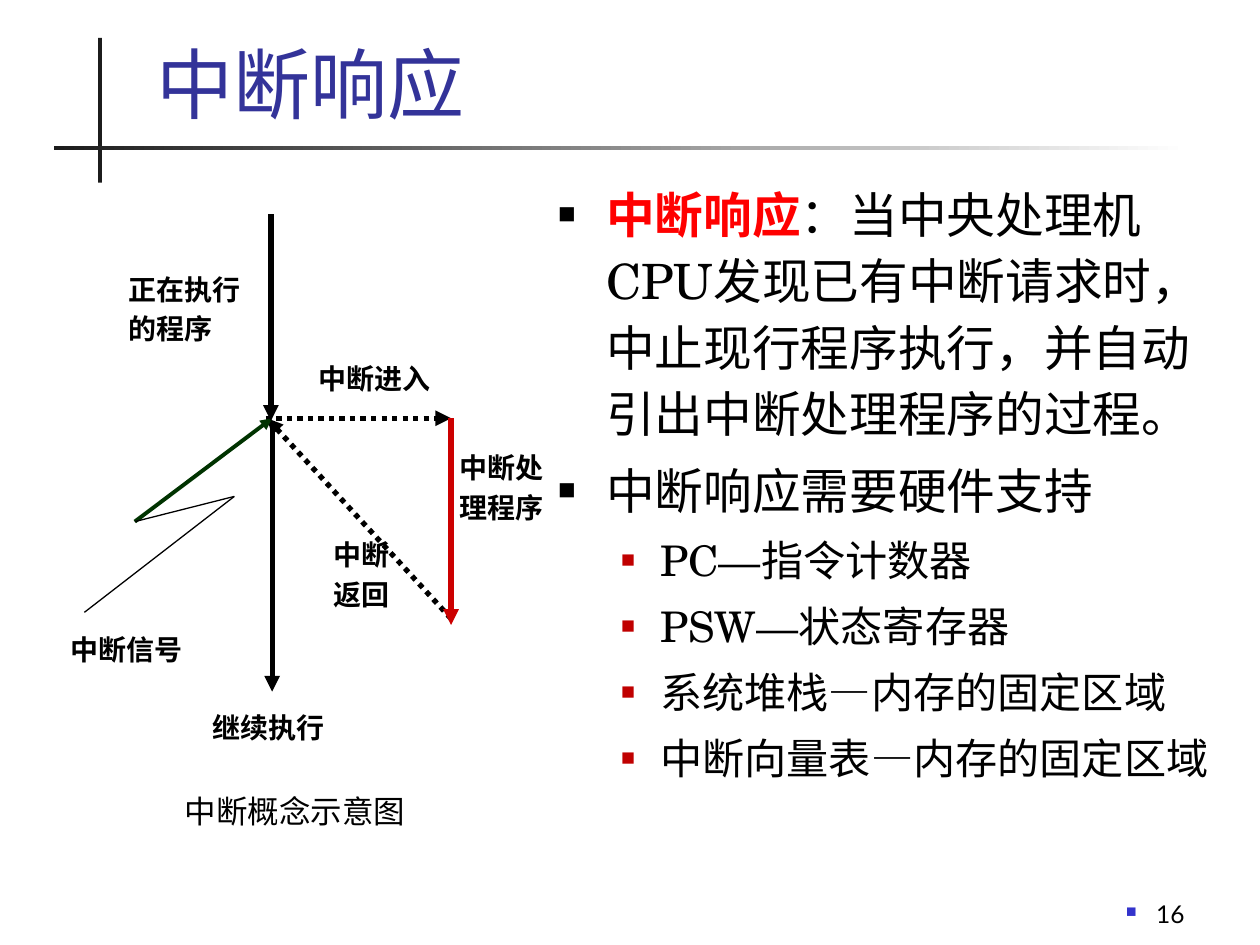
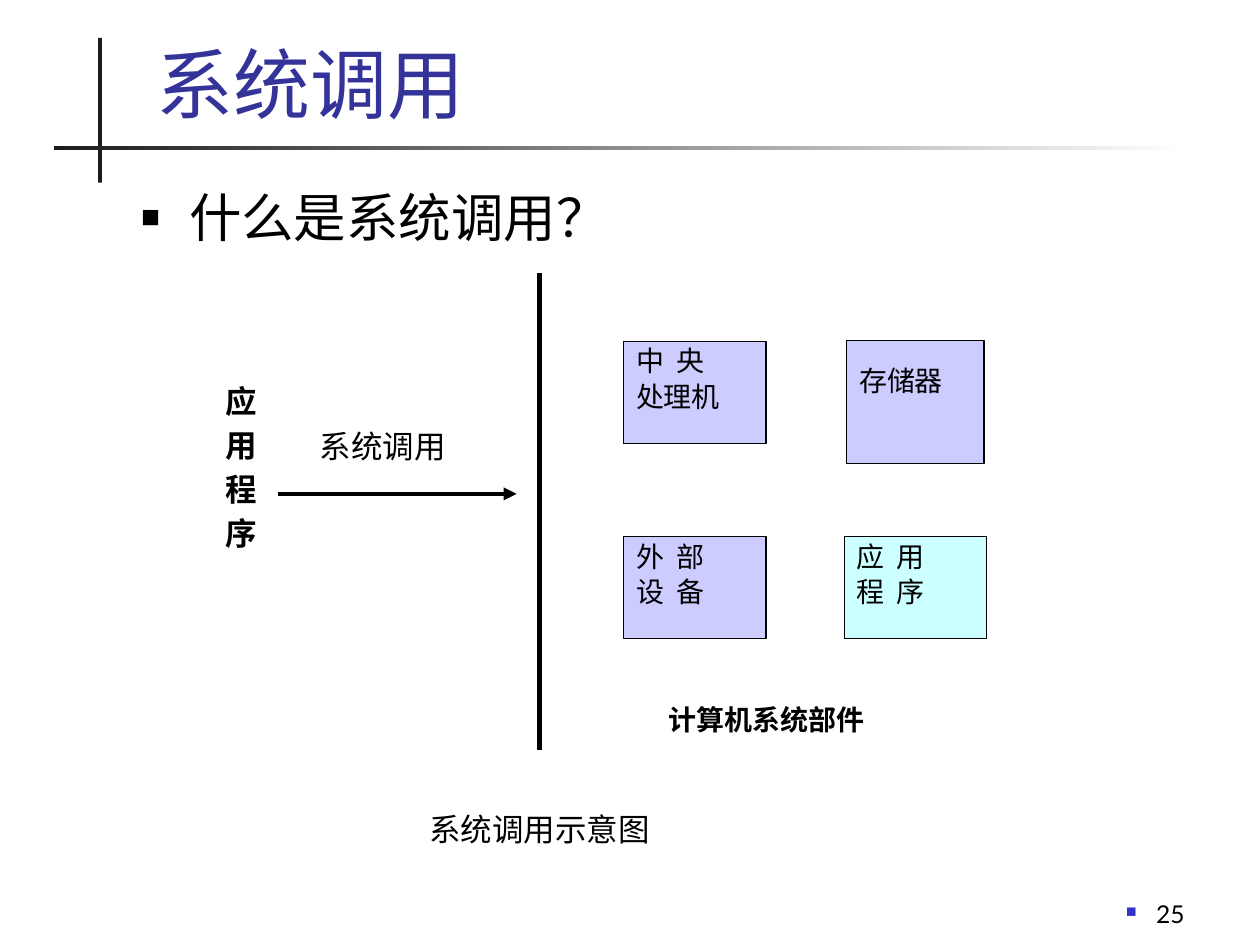
from lxml import etree
from pptx import Presentation
from pptx.dml.color import RGBColor
from pptx.enum.dml import MSO_LINE
from pptx.enum.shapes import MSO_CONNECTOR, MSO_SHAPE
from pptx.enum.text import MSO_ANCHOR, MSO_AUTO_SIZE, PP_ALIGN
from pptx.oxml.ns import qn
from pptx.util import Emu, Inches, Pt

COLS, ROWS = 100, 75
RECT = MSO_SHAPE.RECTANGLE
STRAIGHT = MSO_CONNECTOR.STRAIGHT
DOTTED = MSO_LINE.ROUND_DOT
TOP, BOTTOM = MSO_ANCHOR.TOP, MSO_ANCHOR.BOTTOM
LEFT, RIGHT, JUSTIFY = PP_ALIGN.LEFT, PP_ALIGN.RIGHT, PP_ALIGN.JUSTIFY
FIXED = MSO_AUTO_SIZE.NONE

BLACK, WHITE, RULE = "000000", "FFFFFF", "1C1C1C"
TITLE, BULLET, RED = "333399", "C00000", "FF0000"
LILAC, AQUA = "CCCCFF", "CCFFFF"
SERIF, LABEL, NUMBER = "TeX Gyre Schola", "Times New Roman", "Lato"


def rgb(value):
    return RGBColor.from_string(value)


class Deck:
    def __init__(self):
        self.prs = Presentation()
        self.prs.slide_width, self.prs.slide_height = Inches(10), Inches(7.5)
        self.layout = self.prs.slide_layouts[1]
        self.s = None

    def x(self, col):
        return Emu(round(self.prs.slide_width * col / COLS))

    def y(self, row):
        return Emu(round(self.prs.slide_height * row / ROWS))

    def box(self, at):
        left, top, width, height = at
        return self.x(left), self.y(top), self.x(width), self.y(height)

    def place(self, sp, at):
        sp.left, sp.top, sp.width, sp.height = self.box(at)

    def frame(self, sp, anchor=TOP):
        tf = sp.text_frame
        tf.word_wrap = True
        tf.auto_size = FIXED
        tf.vertical_anchor = anchor
        return tf

    def style(self, r, size, font=LABEL, color=BLACK, bold=False):
        r.font.size = Pt(size)
        r.font.name = font
        r.font.bold = bold
        r.font.color.rgb = rgb(color)

    def bullet(self, p, color, percent, margin, hang):
        pPr = p._p.get_or_add_pPr()
        pPr.set("marL", str(self.x(margin)))
        pPr.set("indent", str(-self.x(hang)))
        clr = etree.SubElement(pPr, qn("a:buClr"))
        etree.SubElement(clr, qn("a:srgbClr")).set("val", color)
        etree.SubElement(pPr, qn("a:buSzPct")).set("val", str(percent * 1000))
        etree.SubElement(pPr, qn("a:buChar")).set("char", "■")

    def tab(self, p, col):
        tabs = etree.SubElement(p._p.get_or_add_pPr(), qn("a:tabLst"))
        stop = etree.SubElement(tabs, qn("a:tab"))
        stop.set("pos", str(self.x(col)))
        stop.set("algn", "l")

    def fill_text(self, tf, text, size, font=LABEL, bold=False, align=LEFT, spacing=1.0):
        tf.text = text
        for i, p in enumerate(tf.paragraphs):
            if "\t" in p.text:
                self.tab(p, 3.2)
            p.alignment = align
            p.line_spacing = spacing
            p.space_before = Pt(0.2 * size if i else 0)
            for r in p.runs:
                self.style(r, size, font, bold=bold)

    def bar(self, at):
        sp = self.s.shapes.add_shape(RECT, *self.box(at))
        sp.shadow.inherit = False
        sp.line.fill.background()
        self.layout.shapes.element.append(sp.element)
        return sp

    def rules(self):
        upright = self.bar((7.8, 3, 0.3, 11.5))
        upright.fill.solid()
        upright.fill.fore_color.rgb = rgb(RULE)
        fade = self.bar((4.3, 11.6, 90, 0.3))
        fade.fill.gradient()
        fade.fill.gradient_angle = 0
        for stop, position, color in zip(fade.fill.gradient_stops, (0, 1), (RULE, WHITE)):
            stop.position = position
            stop.color.rgb = rgb(color)

    def slide(self, title, number):
        first = self.s is None
        self.s = self.prs.slides.add_slide(self.layout)
        if first:
            self.rules()
        sp = self.s.shapes.title
        self.place(sp, (11.4, 2.5, 85.9, 8.2))
        tf = self.frame(sp, BOTTOM)
        tf.text = title
        tf.paragraphs[0].alignment = LEFT
        self.style(tf.paragraphs[0].runs[0], 44, SERIF, TITLE)
        self.page_number(number)

    def page_number(self, number):
        sp = self.s.shapes.add_textbox(*self.box((74.2, 69.2, 20.8, 5)))
        tf = self.frame(sp, BOTTOM)
        self.bullet(tf.paragraphs[0], "3333CC", 60, 2.4, 2.4)
        self.fill_text(tf, str(number), 14, NUMBER, align=RIGHT)
        if tf.paragraphs[0]._p.find(qn("a:pPr")).find(qn("a:buChar")) is None:
            self.bullet(tf.paragraphs[0], "3333CC", 60, 2.4, 2.4)

    def body(self, at, items, sizes):
        sp = self.s.placeholders[1]
        self.place(sp, at)
        tf = self.frame(sp)
        for i, (level, lead, rest) in enumerate(items):
            p = tf.add_paragraph() if i else tf.paragraphs[0]
            p.text = lead
            p.level = level
            size = sizes[level]
            if level:
                self.bullet(p, BULLET, 55, 8.1, 3.1)
            else:
                self.bullet(p, BLACK, 60, 3.8, 3.8)
            p.line_spacing = 1.14
            p.space_before = Pt(0.2 * size if i else 0)
            self.style(p.runs[0], size, SERIF, RED if rest else BLACK, bool(rest))
            if rest:
                r = p.add_run()
                r.text = rest
                self.style(r, size, SERIF)

    def label(self, at, text, size=16, **kw):
        sp = self.s.shapes.add_textbox(*self.box(at))
        self.fill_text(self.frame(sp), text, size, **kw)

    def block(self, at, text, color, spacing=0.9):
        sp = self.s.shapes.add_shape(RECT, *self.box(at))
        sp.shadow.inherit = False
        sp.fill.solid()
        sp.fill.fore_color.rgb = rgb(color)
        sp.line.color.rgb = rgb(BLACK)
        sp.line.width = Pt(0.75)
        self.fill_text(self.frame(sp), text, 16, spacing=spacing)

    def line(self, start, end, width=3, color=BLACK, arrow=True, dash=None):
        (x1, y1), (x2, y2) = start, end
        c = self.s.shapes.add_connector(STRAIGHT, self.x(x1), self.y(y1), self.x(x2), self.y(y2))
        c.line.color.rgb = rgb(color)
        c.line.width = Pt(width)
        if dash:
            c.line.dash_style = dash
        spPr = c.element.spPr
        if arrow:
            etree.SubElement(spPr.find(qn("a:ln")), qn("a:tailEnd")).set("type", "triangle")
        etree.SubElement(spPr, qn("a:effectLst"))


def interrupt_response(d):
    d.slide("中断响应", 16)
    d.body((43.3, 13.5, 54, 53.5), [
        (0, "中断响应", "：当中央处理机CPU发现已有中断请求时，中止现行程序执行，并自动引出中断处理程序的过程。"),
        (0, "中断响应需要硬件支持", ""),
        (1, "PC—指令计数器", ""),
        (1, "PSW—状态寄存器", ""),
        (1, "系统堆栈—内存的固定区域", ""),
        (1, "中断向量表—内存的固定区域", ""),
    ], (27.8, 24.1))

    entry, bolt, tip = (35.8, 33.2), (10.7, 41.4), (18.6, 39.4)
    d.line((21.1, 33.2), entry, dash=DOTTED)
    d.line((35.8, 49.1), (21.2, 33.2), dash=DOTTED)
    d.line((21.6, 33.4), (21.6, 54.9))
    d.line((6.7, 48.6), tip, 0.75, arrow=False)
    d.line(bolt, (21.6, 33.2), 2.25, "003300")
    d.line(bolt, tip, 0.75, arrow=False)
    d.line((21.5, 17), (21.5, 33.4))
    d.line(entry, (35.8, 49.6), color="CC0000")

    for at, text in [
        ((15.9, 55.9, 11.9, 3.7), "继续执行"),
        ((24.3, 28.2, 11.9, 3.7), "中断进入"),
        ((25.5, 42.2, 9.9, 6.4), "中断\n返回"),
        ((4.6, 49.7, 11.9, 3.7), "中断信号"),
        ((9.2, 21.1, 11.9, 6.9), "正在执行\n的程序"),
        ((35.5, 35.3, 9.4, 6.4), "中断处\n理程序"),
    ]:
        d.label(at, text, bold=True)
    d.label((13.7, 62.7, 22, 4.7), "中断概念示意图", 18, align=JUSTIFY, spacing=0.9)


def system_call(d):
    d.slide("系统调用", 25)
    d.body((10.2, 13.5, 85, 53.5), [(0, "什么是系统调用？", "")], (30,))

    d.label((16.9, 29.8, 6.1, 15), "\n".join("应用程序"), 18, bold=True)
    d.line((22.1, 39.2), (41, 39.2), 2.5)
    d.label((24.4, 33.4, 14.9, 5.5), "系统调用", 18)
    d.line((42.8, 21.7), (42.8, 59.5), arrow=False)

    left, right, upper, lower = 49.5, 67, 27.1, 42.6
    for col, row, text, color in [
        (left, upper, "中\t央\n处理机", LILAC),
        (left, lower, "外\t部\n设\t备", LILAC),
        (right, lower, "应\t用\n程\t序", AQUA),
    ]:
        d.block((col, row, 11.3, 8.1), text, color)
    d.block((67.2, 27, 10.9, 9.8), "存储器", LILAC, spacing=1.5)

    d.label((52.1, 55.6, 25.3, 5.7), "计算机系统部件", font="Arial", bold=True, align=JUSTIFY, spacing=0.9)
    d.label((33.1, 63.8, 29.6, 4), "系统调用示意图", 18)


def main():
    d = Deck()
    interrupt_response(d)
    system_call(d)
    d.prs.save("out.pptx")


if __name__ == "__main__":
    main()
